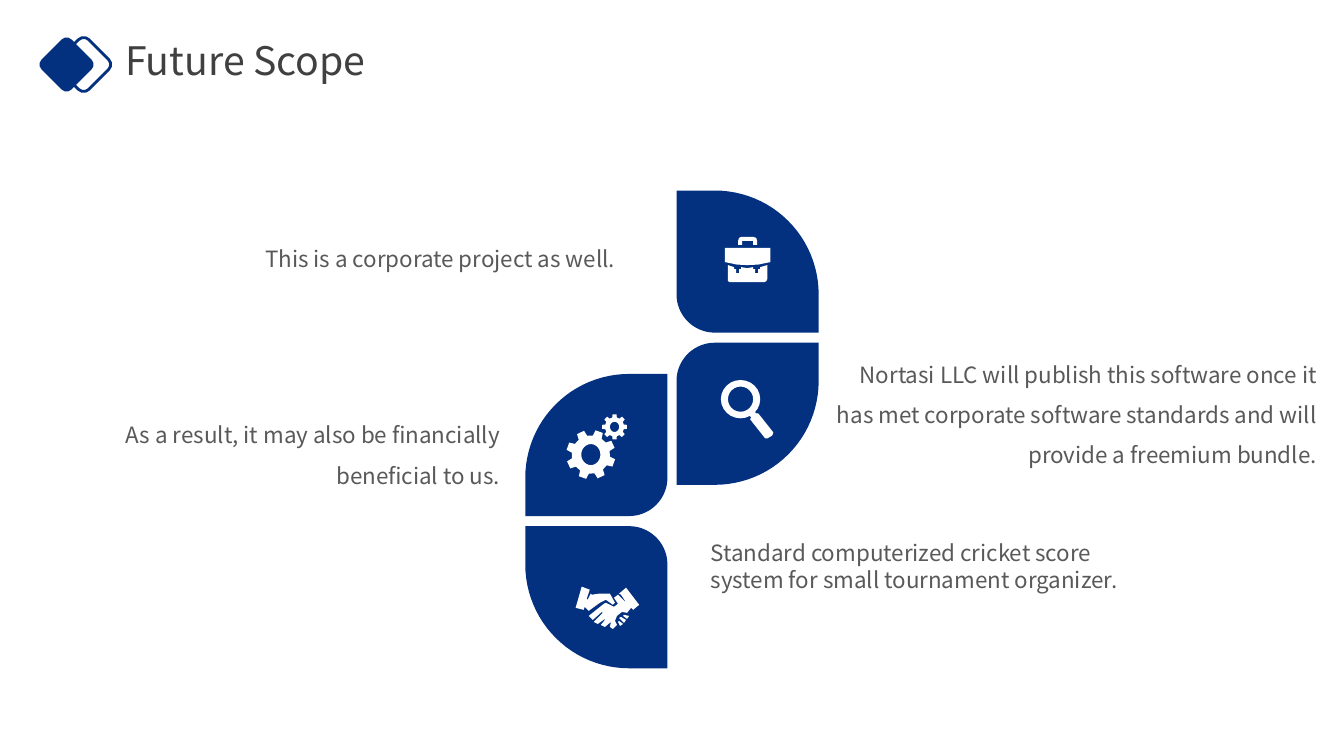
from math import cos, radians, sin

from pptx import Presentation
from pptx import util as u
from pptx.dml.color import RGBColor
from pptx.enum import shapes, text

NAVY = RGBColor(0x03, 0x31, 0x80)
WHITE = RGBColor(0xFF, 0xFF, 0xFF)
TITLE_GREY = RGBColor(0x40, 0x40, 0x40)
BODY_GREY = RGBColor(0x59, 0x59, 0x59)
FONT = "Noto Sans CJK SC"

WIDTH, HEIGHT = u.Inches(13.33), u.Inches(7.5)
CELL = HEIGHT / 75
LEAF = 14.1
LEAVES = [
    (67.1, 18.9, False, False),
    (67.1, 34.0, False, True),
    (52.1, 37.1, True, False),
    (52.1, 52.2, True, True),
]
NOTES = [
    ((10.3, 22.5, 52.2, 5), "This is a corporate project as well. ", True),
    ((81.2, 34, 50.4, 13), "Nortasi LLC will publish this software once it has met "
     "corporate software standards and will provide a freemium bundle.", True),
    ((3.8, 40, 46.8, 9), "As a result, it may also be financially beneficial to us.", True),
    ((69.5, 53, 46.8, 10.3), "Standard computerized cricket score system for small "
     "tournament organizer.", False),
]
BRIEFCASE = [
    [(42, 28), (42, 42), (41, 44), (39, 45), (5, 45), (3, 44), (3, 28), (9, 30),
     (9, 32), (11, 32), (11, 36), (14, 36), (14, 32), (16, 32), (16, 30), (22, 31),
     (28, 30), (28, 32), (30, 32), (30, 36), (33, 36), (33, 32), (35, 32), (35, 30)],
    [(16, 0), (28, 0), (31, 1), (32, 4), (32, 8), (28, 8), (28, 4), (17, 4),
     (17, 8), (13, 8), (13, 4), (14, 1)],
    [(0, 11), (0, 25), (12, 27.5), (22, 28), (33, 27.5), (45, 25), (45, 11)],
]
HANDSHAKE = [
    [(14, 3), (6, 0), (0, 21), (8, 23), (9, 20), (13, 24), (24, 16), (30, 13),
     (37, 18), (39, 16), (34, 7), (23, 7), (16, 8), (15, 7), (12, 13), (11, 12),
     (13, 6)],
    [(50, 1), (63, 18), (57, 23), (55, 21), (51, 26), (46, 25), (41, 29), (39, 34),
     (41, 38), (40, 39), (37, 42), (34, 40), (35, 35), (29, 40), (25, 38), (29, 33),
     (29, 32), (22, 37), (18, 35), (27, 26), (26, 25), (17, 33), (13, 29), (28, 17),
     (30, 16), (38, 20), (42, 17), (38, 11), (42, 8), (49, 15), (49, 14), (45, 8),
     (43, 7)],
    [(53, 29), (48, 28), (47, 29), (51, 32)],
    [(44, 39), (47, 37), (43, 34), (42, 35)],
    [(48, 36), (50, 33), (45, 30), (43, 31)],
]
HANDLE = [(29, 36), (34, 32), (35, 33), (37, 33), (52, 52), (51, 55), (46, 58),
          (44, 58), (29, 39), (30, 37)]


def grid(*cells):
    return [round(c * CELL) for c in cells]


def apply(target, formats):
    for name, value in formats.items():
        setattr(target, name, value)


def arc(cx, cy, rx, ry, start, end, steps=24):
    angles = [radians(start + (end - start) * i / steps) for i in range(steps + 1)]
    return [(cx + rx * cos(a), cy + ry * sin(a)) for a in angles]


def gear(cx, cy, tip, root, hole, turn):
    teeth = []
    for centre in range(turn, turn + 360, 45):
        for offset, radius in ((-14, root), (-9, tip), (9, tip), (14, root)):
            a = radians(centre + offset)
            teeth.append((cx + radius * cos(a), cy + radius * sin(a)))
    return [teeth, arc(cx, cy, hole, hole * 1.1, 0, 360)]


def leaf(flip_x, flip_y):
    big, small = 10.3, 3.8
    points = [(0, 0), *arc(LEAF - big, big, big, big, -90, 0), (LEAF, LEAF),
              *arc(small, LEAF - small, small, small, 90, 180)]
    return [(LEAF - x if flip_x else x, LEAF - y if flip_y else y) for x, y in points]


def add_outline(slide, left, top, contours, color, scale=1.0):
    placed = [[grid(left + x * scale, top + y * scale) for x, y in c] for c in contours]
    fb = slide.shapes.build_freeform(*placed[0][0])
    for i, points in enumerate(placed):
        if i:
            fb.move_to(*points[0])
        fb.add_line_segments(points[1:], close=True)
    sp = fb.convert_to_shape()
    sp.shadow.inherit = False
    sp.fill.solid()
    sp.fill.fore_color.rgb = color
    sp.line.fill.background()


def add_diamond(slide, left, filled):
    sp = slide.shapes.add_shape(shapes.MSO_SHAPE.ROUNDED_RECTANGLE,
                                *grid(left, 4.3, 4.2, 4.2))
    sp.rotation = 45
    sp.shadow.inherit = False
    if filled:
        sp.fill.solid()
        sp.fill.fore_color.rgb = NAVY
        sp.line.fill.background()
    else:
        sp.fill.background()
        sp.line.color.rgb = NAVY
        sp.line.width = u.Pt(2)


def write(sp, content, size, color, paragraph_formats, anchor):
    tf = sp.text_frame
    apply(tf, {"word_wrap": True, "vertical_anchor": anchor,
               "auto_size": text.MSO_AUTO_SIZE.SHAPE_TO_FIT_TEXT})
    p = tf.paragraphs[0]
    apply(p, paragraph_formats)
    r = p.add_run()
    r.text = content
    apply(r.font, {"name": FONT, "size": u.Pt(size)})
    r.font.color.rgb = color


def add_title(slide, content):
    sp = slide.shapes.title
    apply(sp, dict(zip(("left", "top", "width", "height"), grid(11.4, 3.1, 32, 5.6))))
    write(sp, content, 28, TITLE_GREY, {"alignment": text.PP_ALIGN.JUSTIFY},
          text.MSO_ANCHOR.MIDDLE)


def add_note(slide, box, content, spaced_right):
    sp = slide.shapes.add_textbox(*grid(*box))
    formats = {"alignment": text.PP_ALIGN.LEFT}
    if spaced_right:
        formats = {"alignment": text.PP_ALIGN.RIGHT, "line_spacing": 1.5}
    write(sp, content, 16, BODY_GREY, formats, text.MSO_ANCHOR.TOP)


def main():
    prs = Presentation()
    apply(prs, {"slide_width": WIDTH, "slide_height": HEIGHT})
    slide = prs.slides.add_slide(prs.slide_layouts[5])
    add_diamond(slide, 6.2, False)
    add_diamond(slide, 4.5, True)
    add_title(slide, "Future Scope")
    for left, top, flip_x, flip_y in LEAVES:
        add_outline(slide, left, top, [leaf(flip_x, flip_y)], NAVY)
    gears = gear(23, 40, 24.5, 19, 9.5, -70) + gear(46.5, 12.5, 12.5, 9.5, 4.6, -90)
    magnifier = [arc(19.5, 19, 19.5, 19, 0, 360), arc(19.5, 19, 12.5, 12.5, 0, 360), HANDLE]
    for left, top, contours in (
        (71.9, 23.5, BRIEFCASE),
        (56.3, 41.1, gears),
        (71.5, 37.7, magnifier),
        (57.1, 58.2, HANDSHAKE),
    ):
        add_outline(slide, left, top, contours, WHITE, 0.1)
    for box, content, spaced_right in NOTES:
        add_note(slide, box, content, spaced_right)
    prs.save("out.pptx")


if __name__ == "__main__":
    main()
